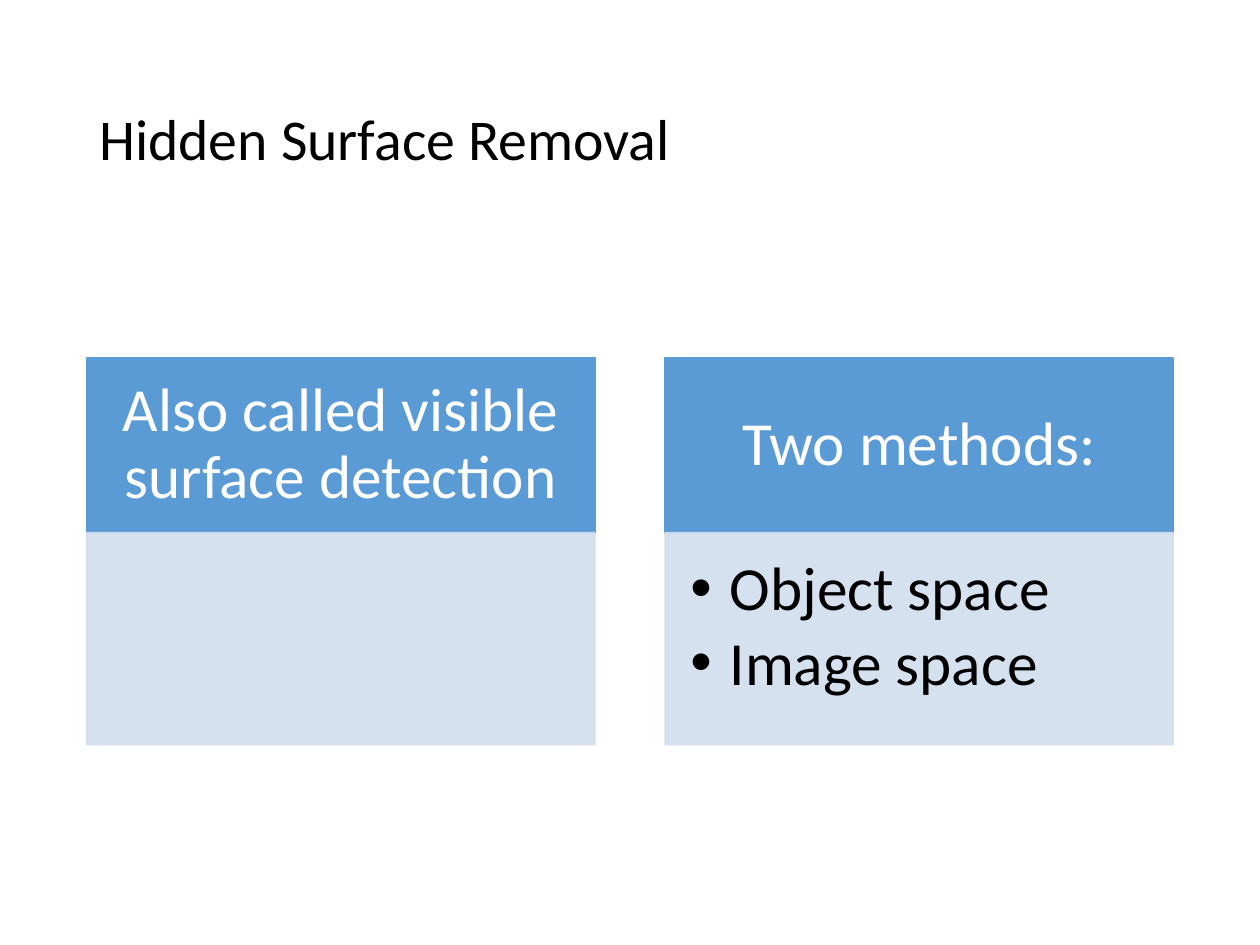
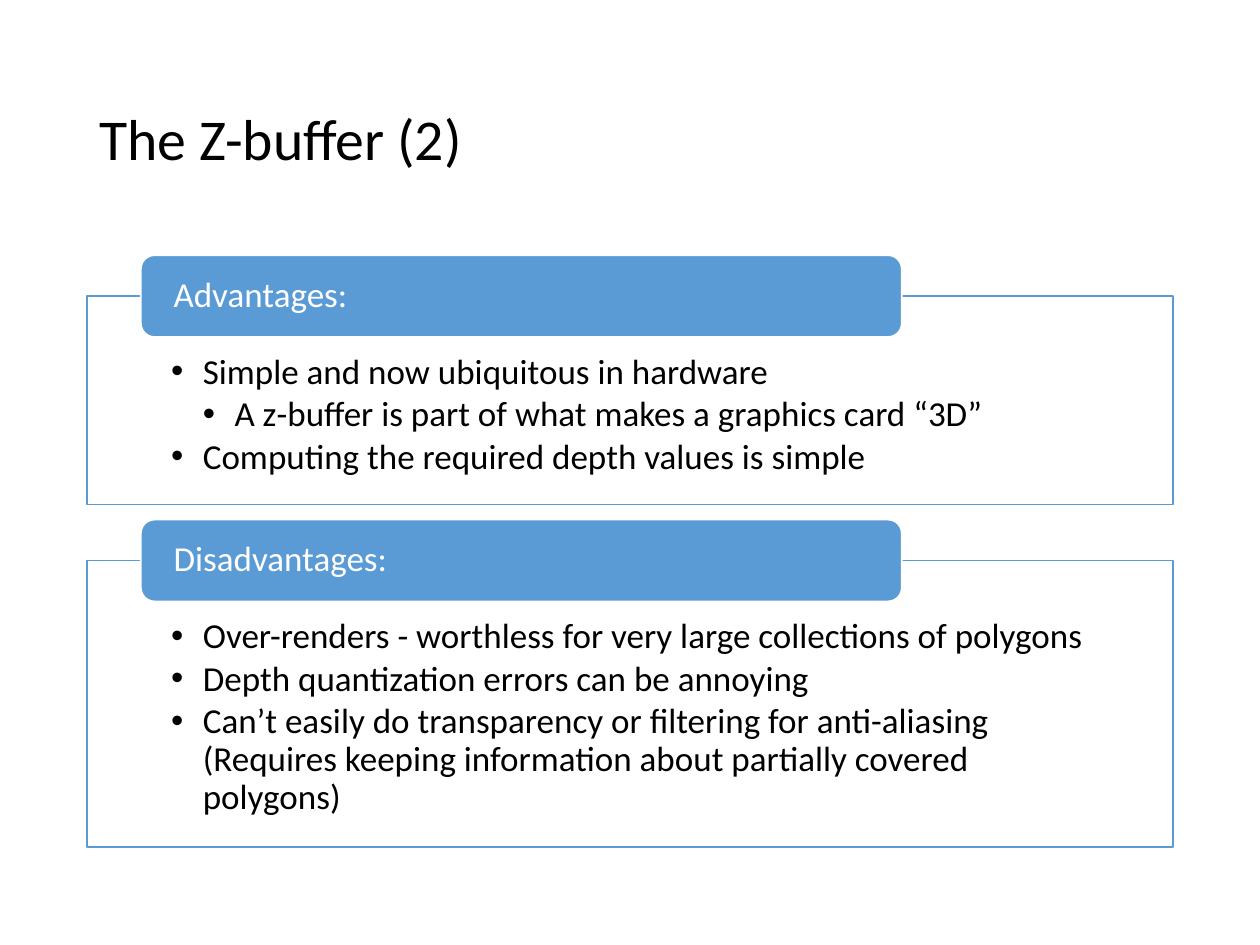
from dataclasses import dataclass

from lxml import etree
from pptx import Presentation
from pptx.dml.color import RGBColor
from pptx.enum import shapes, text
from pptx.oxml import ns
from pptx.util import Cm, Pt


@dataclass(frozen=True)
class Theme:
    font: str = "Calibri"
    ink: str = "000000"
    white: str = "FFFFFF"
    accent: str = "5B9BD5"
    tint: str = "D2DEEF"
    title_size: int = 33
    column_size: int = 35
    section_size: int = 20
    line_spacing: float = 0.9
    bullet_gap: float = 0.13  # space after a bullet, as a share of its size
    panel_opacity: int = 90


THEME = Theme()

# Shared horizontal frame, in centimetres
LEFT, WIDTH = 1.75, 21.9


def add_slide(presentation, title):
    """Add a blank slide with the shared title."""
    slide = presentation.slides.add_slide(presentation.slide_layouts[6])
    box = slide.shapes.add_textbox(Cm(LEFT), Cm(1.02), Cm(WIDTH), Cm(3.68))
    set_frame(box, (0.25, 0.13, 0.25, 0.13), text.MSO_ANCHOR.MIDDLE)
    write(box.text_frame.paragraphs[0], title, THEME.title_size, THEME.ink)
    return slide


def set_opacity(color_format_parent, percent):
    """Make a solid fill translucent."""
    color = color_format_parent.find(".//" + ns.qn("a:srgbClr"))
    etree.SubElement(color, ns.qn("a:alpha"), val=str(percent * 1000))


def add_block(slide, kind, bounds, fill, line, opacity=100):
    """Add a filled preset shape; bounds are in centimetres."""
    shape = slide.shapes.add_shape(kind, *map(Cm, bounds))
    shape.shadow.inherit = False
    shape.fill.solid()
    shape.fill.fore_color.rgb = RGBColor.from_string(fill)
    shape.line.color.rgb = RGBColor.from_string(line)
    shape.line.width = Pt(1)
    if opacity < 100:
        properties = shape.fill._xPr
        set_opacity(properties.find(ns.qn("a:solidFill")), opacity)
        if line == fill:
            set_opacity(properties.find(ns.qn("a:ln")), opacity)
    return shape


def set_frame(shape, insets, anchor):
    """Set wrapping, insets (left, top, right, bottom) and anchor."""
    frame = shape.text_frame
    frame.word_wrap = True
    frame.vertical_anchor = anchor
    (frame.margin_left, frame.margin_top,
     frame.margin_right, frame.margin_bottom) = map(Cm, insets)


def write(paragraph, words, size, color, align=text.PP_ALIGN.LEFT):
    paragraph.text = words
    paragraph.alignment = align
    paragraph.line_spacing = THEME.line_spacing
    paragraph.font.name = THEME.font
    paragraph.font.size = Pt(size)
    paragraph.font.color.rgb = RGBColor.from_string(color)


def write_bullets(shape, items, size, indent):
    """Fill a shape with (level, words) bullets."""
    frame = shape.text_frame
    for index, (level, words) in enumerate(items):
        paragraph = frame.add_paragraph() if index else frame.paragraphs[0]
        properties = paragraph._p.get_or_add_pPr()
        properties.set("marL", str(Cm(indent * level)))
        properties.set("indent", str(-Cm(indent)))
        etree.SubElement(properties, ns.qn("a:buFont"), typeface="Arial")
        etree.SubElement(properties, ns.qn("a:buChar"), char="•")
        write(paragraph, words, size, THEME.ink)
        paragraph.space_after = Pt(round(size * THEME.bullet_gap, 1))


def add_column(slide, left, heading, items):
    """Add a heading block above a tinted panel."""
    top, width, heading_height, panel_height = 7.21, 10.24, 3.53, 4.27
    rectangle = shapes.MSO_SHAPE.RECTANGLE
    header = add_block(slide, rectangle, (left, top, width, heading_height),
                       THEME.accent, THEME.accent)
    set_frame(header, (0.69, 0.41, 0.69, 0.41), text.MSO_ANCHOR.MIDDLE)
    write(header.text_frame.paragraphs[0], heading, THEME.column_size,
          THEME.white, text.PP_ALIGN.CENTER)
    panel = add_block(slide, rectangle,
                      (left, top + heading_height, width, panel_height),
                      THEME.tint, THEME.tint, THEME.panel_opacity)
    if items:
        set_frame(panel, (0.51, 0.51, 0.69, 0.79), text.MSO_ANCHOR.TOP)
        write_bullets(panel, items, THEME.column_size, 0.79)


def add_section(slide, top, height, heading, items):
    """Add an outlined panel with a rounded tab across its top edge."""
    panel = add_block(slide, shapes.MSO_SHAPE.RECTANGLE,
                      (LEFT, top, WIDTH, height),
                      THEME.white, THEME.accent, THEME.panel_opacity)
    set_frame(panel, (1.7, 1.17, 1.7, 0.41), text.MSO_ANCHOR.TOP)
    write_bullets(panel, items, THEME.section_size, 0.64)

    tab_height = 1.65
    tab = add_block(slide, shapes.MSO_SHAPE.ROUNDED_RECTANGLE,
                    (2.84, top - tab_height / 2, 15.34, tab_height),
                    THEME.accent, THEME.white)
    set_frame(tab, (0.58, 0, 0.58, 0), text.MSO_ANCHOR.MIDDLE)
    write(tab.text_frame.paragraphs[0], heading, THEME.section_size,
          THEME.white)


def main():
    presentation = Presentation()
    presentation.slide_width, presentation.slide_height = Cm(25.4), Cm(19.05)

    # Hidden surface removal: two columns
    slide = add_slide(presentation, "Hidden Surface Removal")
    columns = [
        ("Also called visible surface detection", []),
        ("Two methods:", [(1, "Object space"), (1, "Image space")]),
    ]
    for index, (heading, items) in enumerate(columns):
        add_column(slide, LEFT + index * 11.66, heading, items)

    # Z-buffer: stacked sections
    slide = add_slide(presentation, "The Z-buffer (2)")
    sections = [
        (4.2, "Advantages:", [
            (1, "Simple and now ubiquitous in hardware"),
            (2, "A z-buffer is part of what makes a graphics card “3D”"),
            (1, "Computing the required depth values is simple"),
        ]),
        (5.77, "Disadvantages:", [
            (1, "Over-renders - worthless for very large collections of "
                "polygons"),
            (1, "Depth quantization errors can be annoying"),
            (1, "Can’t easily do transparency or filtering for anti-aliasing "
                "(Requires keeping information about partially covered "
                "polygons)"),
        ]),
    ]
    top, gap = 5.97, 1.13
    for height, heading, items in sections:
        add_section(slide, top, height, heading, items)
        top += height + gap

    presentation.save("out.pptx")


if __name__ == "__main__":
    main()
